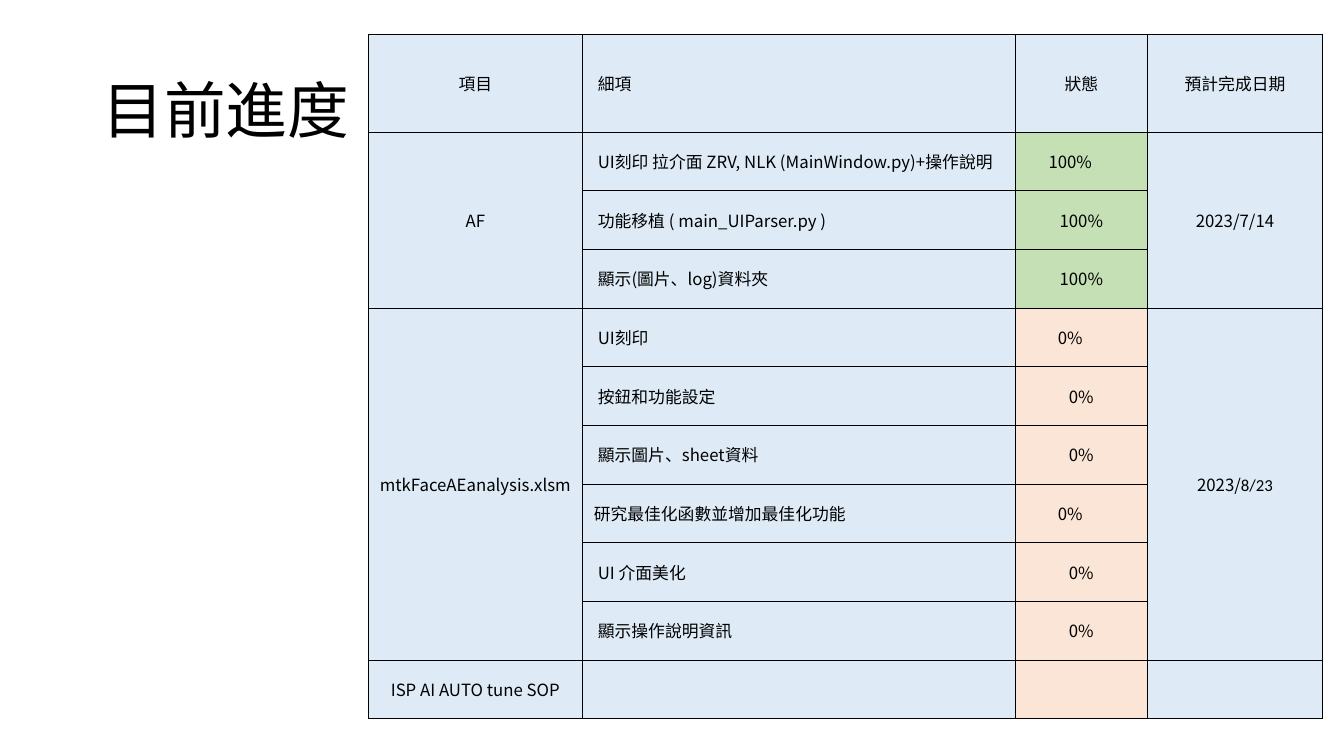
"""Build the progress slide: a title beside a table of work items, status and due dates."""
from lxml.etree import SubElement
from pptx import Presentation
from pptx.dml.color import RGBColor
from pptx.enum.text import MSO_ANCHOR, PP_ALIGN
from pptx.oxml.ns import qn
from pptx.util import Inches, Pt

TITLE = "目前進度"
HEADS = ["項目", "細項", "狀態", "預計完成日期"]
GROUPS = [
    ("AF", ["2023/7/14"], [
        ("UI刻印 拉介面 ZRV, NLK (MainWindow.py)+操作說明", "100%"),
        ("功能移植 ( main_UIParser.py )", "100%"),
        ("顯示(圖片、log)資料夾", "100%"),
    ]),
    ("mtkFaceAEanalysis.xlsm", ["2023/", "8/23"], [
        ("UI刻印", "0%"),
        ("按鈕和功能設定", "0%"),
        ("顯示圖片、sheet資料", "0%"),
        ("研究最佳化函數並增加最佳化功能", "0%"),
        ("UI 介面美化", "0%"),
        ("顯示操作說明資訊", "0%"),
    ]),
    ("ISP AI AUTO tune SOP", [], [("", "")]),
]
INDENT = {7: 0.11}
SHIFT = {1: 0.22, 4: 0.22, 7: 0.22}
COLS = [2.13, 4.29, 1.31, 1.74]
HIGH, HEAD_H = 6.79, 0.97
THEME = {
    "text": "000000", "line": "000000", "base": "DEEBF7",
    "done": "C5E0B4", "open": "FBE5D6",
    "head": "Calibri", "body": "Noto Sans CJK SC",
    "big": 44, "small": 12, "rule": 0.5,
}


def color(key):
    return RGBColor.from_string(THEME[key])


def style(par, face, size):
    font = par.font
    font.name, font.size = THEME[face], Pt(THEME[size])
    font.color.rgb = color("text")
    SubElement(font._element, qn("a:ea"), typeface=THEME["body"])


def border(cell):
    props = cell._tc.get_or_add_tcPr()
    for spot, side in enumerate(("lnL", "lnR", "lnT", "lnB")):
        line = SubElement(props, qn("a:" + side), w=str(Pt(THEME["rule"])))
        fill = SubElement(line, qn("a:solidFill"))
        SubElement(fill, qn("a:srgbClr"), val=THEME["line"])
        props.remove(line)
        props.insert(spot, line)


def put(cell, parts, left=0, right=0, align=PP_ALIGN.CENTER):
    cell.margin_left, cell.margin_right = Inches(left), Inches(right)
    par = cell.text_frame.paragraphs[0]
    par.alignment = align
    style(par, "body", "small")
    for spot, part in enumerate(parts):
        run = par.add_run()
        run.text = part
        if spot:
            run.font.name = THEME["head"]


def add_title(slide):
    box = slide.shapes.add_textbox(Inches(0.92), Inches(0.4), Inches(11.5), Inches(1.45))
    frame = box.text_frame
    frame.word_wrap = True
    frame.vertical_anchor = MSO_ANCHOR.MIDDLE
    par = frame.paragraphs[0]
    par.text, par.line_spacing = TITLE, 0.9
    style(par, "head", "big")


def add_grid(slide):
    count = 1 + sum(len(tasks) for _, _, tasks in GROUPS)
    step = (HIGH - HEAD_H) / (count - 1)
    grid = slide.shapes.add_table(count, len(COLS), Inches(3.65), Inches(0.34),
                                  Inches(sum(COLS)), Inches(HIGH)).table
    for col, wide in zip(grid.columns, COLS):
        col.width = Inches(wide)
    for spot, row in enumerate(grid.rows):
        row.height = Inches(step if spot else HEAD_H)
    for cell in grid.iter_cells():
        cell.vertical_anchor = MSO_ANCHOR.MIDDLE
        cell.margin_top = cell.margin_bottom = 0
        cell.fill.solid()
        cell.fill.fore_color.rgb = color("base")
        border(cell)

    for col, head in enumerate(HEADS):
        side = col == 1
        put(grid.cell(0, col), [head], 0.15 if side else 0,
            align=PP_ALIGN.LEFT if side else PP_ALIGN.CENTER)
    row = 1
    for name, date, tasks in GROUPS:
        last = row + len(tasks) - 1
        for col, parts in ((0, [name]), (3, date)):
            if last > row:
                grid.cell(row, col).merge(grid.cell(last, col))
            put(grid.cell(row, col), parts)
        for task, state in tasks:
            put(grid.cell(row, 1), [task], INDENT.get(row, 0.15), align=PP_ALIGN.LEFT)
            cell = grid.cell(row, 2)
            put(cell, [state], right=SHIFT.get(row, 0))
            cell.fill.fore_color.rgb = color("done" if state == "100%" else "open")
            row += 1


def main():
    deck = Presentation()
    deck.slide_width, deck.slide_height = Inches(13.33), Inches(7.5)
    slide = deck.slides.add_slide(deck.slide_layouts[6])
    add_title(slide)
    add_grid(slide)
    deck.save("out.pptx")


if __name__ == "__main__":
    main()
